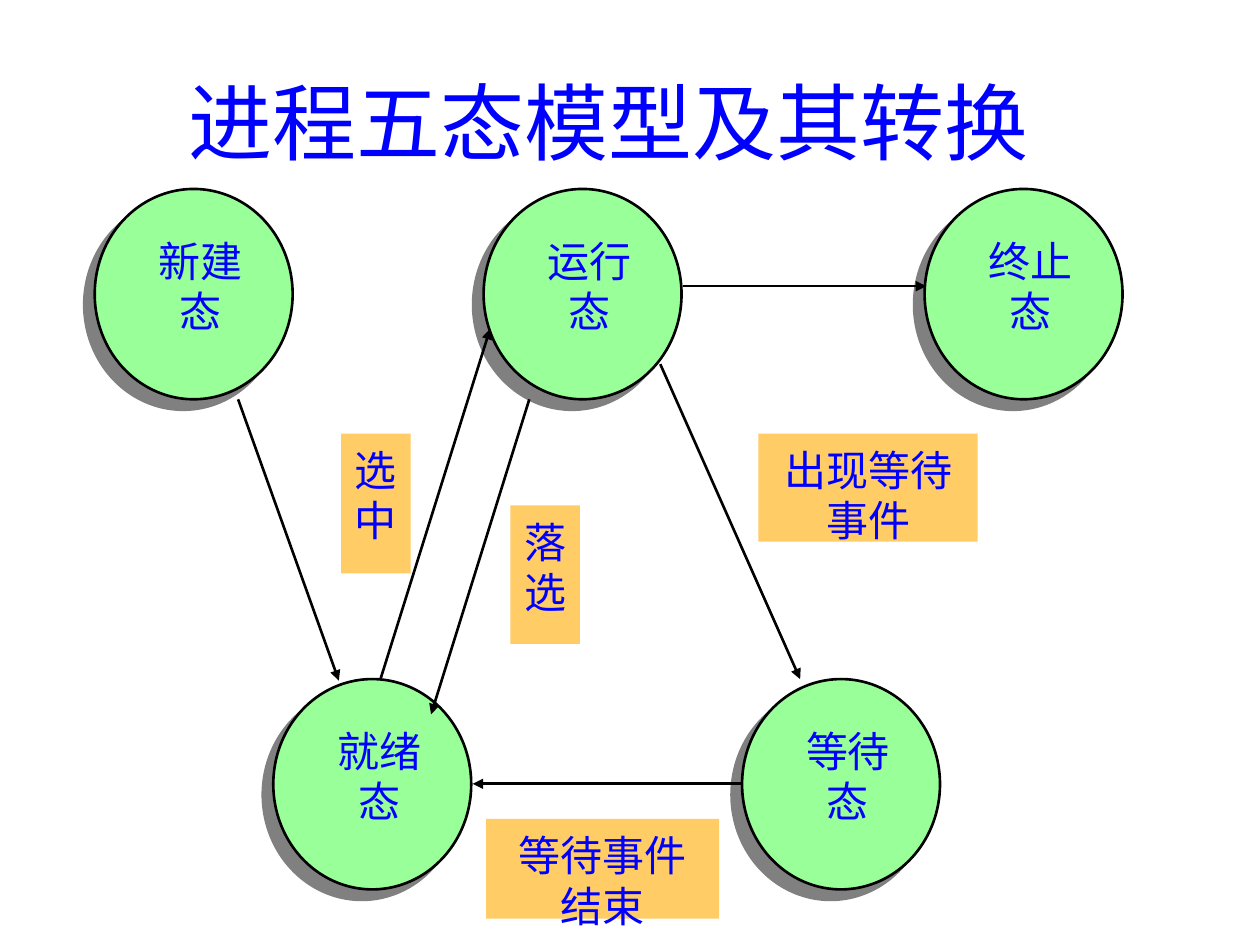
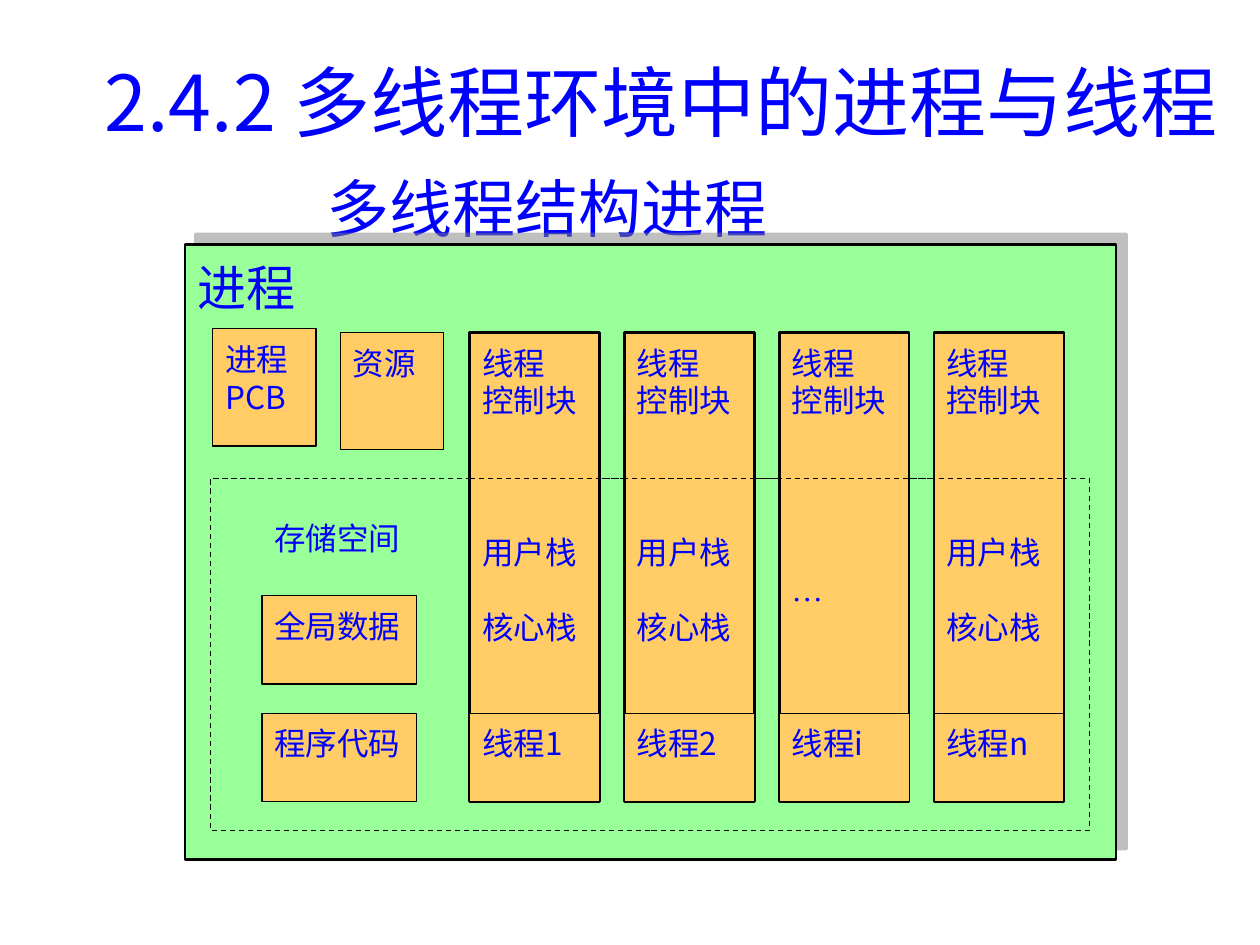
from dataclasses import dataclass
from typing import Any

from lxml import etree
from pptx import Presentation
from pptx.dml.color import RGBColor
from pptx.enum.dml import MSO_LINE
from pptx.enum.shapes import MSO_CONNECTOR, MSO_SHAPE
from pptx.enum.text import MSO_ANCHOR, MSO_AUTO_SIZE, PP_ALIGN
from pptx.oxml.ns import qn
from pptx.util import Cm, Pt

OVAL, RECT = MSO_SHAPE.OVAL, MSO_SHAPE.RECTANGLE
STRAIGHT, DASH = MSO_CONNECTOR.STRAIGHT, MSO_LINE.DASH
LEFT, MID, JUST = PP_ALIGN.LEFT, PP_ALIGN.CENTER, PP_ALIGN.JUSTIFY
TOP, MIDDLE = MSO_ANCHOR.TOP, MSO_ANCHOR.MIDDLE
NO_FIT = MSO_AUTO_SIZE.NONE

# Shared look
BLUE, BLACK, GREY = "0000FF", "000000", "808080"
GREEN, AMBER = "99FF99", "FFCC66"
FONT, SERIF = "Noto Sans CJK JP", "Times New Roman"
THIN, THICK = 0.75, 1.5
PITCH = 1.2  # line height in ems
DROP = 0.14  # lowers the first line, in ems


@dataclass
class Box:
    x: float
    y: float
    w: float
    h: float

    def place(self) -> tuple:
        return Cm(self.x), Cm(self.y), Cm(self.w), Cm(self.h)


@dataclass
class Line:
    text: str
    gap: int = 0  # empty lines above
    font: str = FONT


@dataclass
class State:
    name: str
    x: float
    y: float


@dataclass
class Arrow:
    x1: float
    y1: float
    x2: float
    y2: float


@dataclass
class Tag:
    lines: list[str]
    box: Box


def color(value: str) -> RGBColor:
    return RGBColor.from_string(value)


def apply(target: Any, values: dict) -> None:
    for name, value in values.items():
        setattr(target, name, value)


def style(run: Any, size: float, font: str = FONT) -> None:
    apply(run.font, {"size": Pt(size), "name": font, "bold": False})
    run.font.color.rgb = color(BLUE)
    east = etree.SubElement(run.font._element, qn("a:ea"))
    east.set("typeface", font)


def write(shape: Any, lines: list[Line], size: float, align: Any,
          side: float = 0.25, top: float = 0.13) -> None:
    """Fill a shape with top-anchored lines of text."""
    frame = shape.text_frame
    apply(frame, {
        "word_wrap": True, "auto_size": NO_FIT, "vertical_anchor": TOP,
        "margin_left": Cm(side), "margin_right": Cm(side),
        "margin_top": Cm(top) + Pt(DROP * size), "margin_bottom": 0,
    })
    for i, line in enumerate(lines):
        para = frame.add_paragraph() if i else frame.paragraphs[0]
        apply(para, {
            "alignment": align, "line_spacing": Pt(PITCH * size),
            "space_before": Pt(line.gap * PITCH * size),
        })
        run = para.add_run()
        run.text = line.text
        style(run, size, line.font)


def draw(slide: Any, kind: Any, box: Box, fill: str,
         width: float = 0, dash: Any = None) -> Any:
    shape = slide.shapes.add_shape(kind, *box.place())
    shape.shadow.inherit = False
    shape.fill.solid()
    shape.fill.fore_color.rgb = color(fill)
    if width:
        shape.line.color.rgb = color(BLACK)
        apply(shape.line, {"width": Pt(width), "dash_style": dash})
    else:
        shape.line.fill.background()
    return shape


def shade(shape: Any, angle: int, alpha: int) -> None:
    """Give a shape a hard offset shadow."""
    effects = shape._element.spPr.find(qn("a:effectLst"))
    outer = etree.SubElement(effects, qn("a:outerShdw"))
    apply_xml = {"dist": Pt(8.5), "dir": angle * 60000, "algn": "ctr",
                 "rotWithShape": 0}
    for name, value in apply_xml.items():
        outer.set(name, str(int(value)) if name != "algn" else value)
    tint = etree.SubElement(outer, qn("a:srgbClr"), val=GREY)
    etree.SubElement(tint, qn("a:alpha"), val=str(alpha * 1000))


def link(slide: Any, way: Arrow, width: float, dash: Any = None,
         head: bool = True) -> None:
    ends = [Cm(v) for v in (way.x1, way.y1, way.x2, way.y2)]
    wire = slide.shapes.add_connector(STRAIGHT, *ends)
    wire.line.color.rgb = color(BLACK)
    apply(wire.line, {"width": Pt(width), "dash_style": dash})
    if head:
        etree.SubElement(wire.line._get_or_add_ln(), qn("a:tailEnd"),
                         type="triangle")
    etree.SubElement(wire._element.spPr, qn("a:effectLst"))


def start(deck: Any, text: str, size: float, box: Box) -> Any:
    """Add a title-only slide and set its title."""
    slide = deck.slides.add_slide(deck.slide_layouts[5])
    title = slide.shapes.title
    names = ("left", "top", "width", "height")
    apply(title, dict(zip(names, box.place())))
    frame = title.text_frame
    apply(frame, {"word_wrap": True, "auto_size": NO_FIT,
                  "vertical_anchor": MIDDLE})
    para = frame.paragraphs[0]
    para.alignment = MID
    run = para.add_run()
    run.text = text
    style(run, size)
    return slide


# Slide 1: process states
UPPER, LOWER = 3.81, 13.69
STATES = [
    State("运行态", 9.75, UPPER),
    State("就绪态", 5.51, LOWER),
    State("等待态", 14.96, LOWER),
    State("新建态", 1.91, UPPER),
    State("终止态", 18.64, UPPER),
]
ARROWS = [
    Arrow(7.67, 13.69, 9.88, 6.63),
    Arrow(10.67, 8.05, 8.69, 14.4),
    Arrow(13.31, 7.34, 16.13, 13.69),
    Arrow(14.94, 15.8, 9.53, 15.8),
    Arrow(4.8, 8.05, 6.83, 13.72),
    Arrow(13.77, 5.77, 18.67, 5.77),
]
TAGS = [
    Tag(["选中"], Box(6.88, 8.74, 1.4, 2.82)),
    Tag(["落选"], Box(10.29, 10.19, 1.4, 2.79)),
    Tag(["出现等待", "事件"], Box(15.29, 8.74, 4.42, 2.18)),
    Tag(["等待事件", "结束"], Box(9.8, 16.51, 4.7, 2.01)),
]


def label(slide: Any, lines: list[str], box: Box, fill: str) -> None:
    shape = draw(slide, RECT, box, fill)
    write(shape, [Line(t) for t in lines], 24, MID, 0, 0.1)


def states(deck: Any) -> None:
    slide = start(deck, "进程五态模型及其转换", 48,
                  Box(1.47, 0.84, 21.59, 3.18))
    for s in STATES:
        oval = draw(slide, OVAL, Box(s.x, s.y, 3.99, 4.24), GREEN, THICK)
        shade(oval, 135, 100)
        label(slide, [s.name], Box(s.x + 0.93, s.y + 0.71, 2.41, 2.82), GREEN)
    for way in ARROWS:
        link(slide, way, THICK)
    for tag in TAGS:
        label(slide, tag.lines, tag.box, AMBER)


# Slide 2: process with threads
COL_X, COL_Y, COL_W, COL_H, STEP = 9.47, 6.71, 2.62, 9.45, 3.12
BASE_Y, BASE_H = 14.38, 1.78
SPACE_Y = 9.65
HEAD = [Line("线程"), Line("控制块")]
STACKS = HEAD + [Line("用户栈", 3), Line("核心栈", 1)]
MORE = HEAD + [Line("…", 4, SERIF)]
THREADS = {"1": STACKS, "2": STACKS, "i": MORE, "n": STACKS}


def block(slide: Any, lines: list[Line], box: Box, fill: str = AMBER,
          width: float = THIN, align: Any = JUST, size: float = 18) -> Any:
    shape = draw(slide, RECT, box, fill, width)
    write(shape, lines, size, align)
    return shape


def threads(deck: Any) -> None:
    slide = start(deck, "2.4.2 多线程环境中的进程与线程", 44,
                  Box(1.27, 0.76, 24.13, 2.54))
    sub = slide.shapes.add_textbox(*Box(1.91, 3.1, 21.39, 1.8).place())
    write(sub, [Line("多线程结构进程")], 36, LEFT, 4.68)

    # Process frame and its own blocks
    frame = block(slide, [Line("进程")], Box(3.73, 4.93, 18.77, 12.4),
                  GREEN, THICK, size=28)
    shade(frame, 315, 50)
    block(slide, [Line("进程PCB")], Box(4.29, 6.63, 2.08, 2.36), align=LEFT)
    block(slide, [Line("资源")], Box(6.86, 6.71, 2.08, 2.36))

    # Storage space
    draw(slide, RECT, Box(4.24, SPACE_Y, 17.73, 7.09), GREEN, THIN, DASH)
    block(slide, [Line("存储空间")], Box(5.28, 10.24, 3.12, BASE_H), GREEN, 0)
    for name, y in (("全局数据", 12.01), ("程序代码", BASE_Y)):
        block(slide, [Line(name)], Box(5.28, y, 3.12, BASE_H))

    # Thread columns
    for i, (name, lines) in enumerate(THREADS.items()):
        x = COL_X + i * STEP
        block(slide, lines, Box(x, COL_Y, COL_W, COL_H), width=THICK)
        block(slide, [Line("线程" + name)], Box(x, BASE_Y, COL_W, BASE_H))
    end = COL_X + (len(THREADS) - 1) * STEP + COL_W
    link(slide, Arrow(COL_X, SPACE_Y, end, SPACE_Y), THIN, DASH, False)


def main() -> None:
    deck = Presentation()
    apply(deck, {"slide_width": Cm(25.4), "slide_height": Cm(19.05)})
    states(deck)
    threads(deck)
    deck.save("out.pptx")


main()
